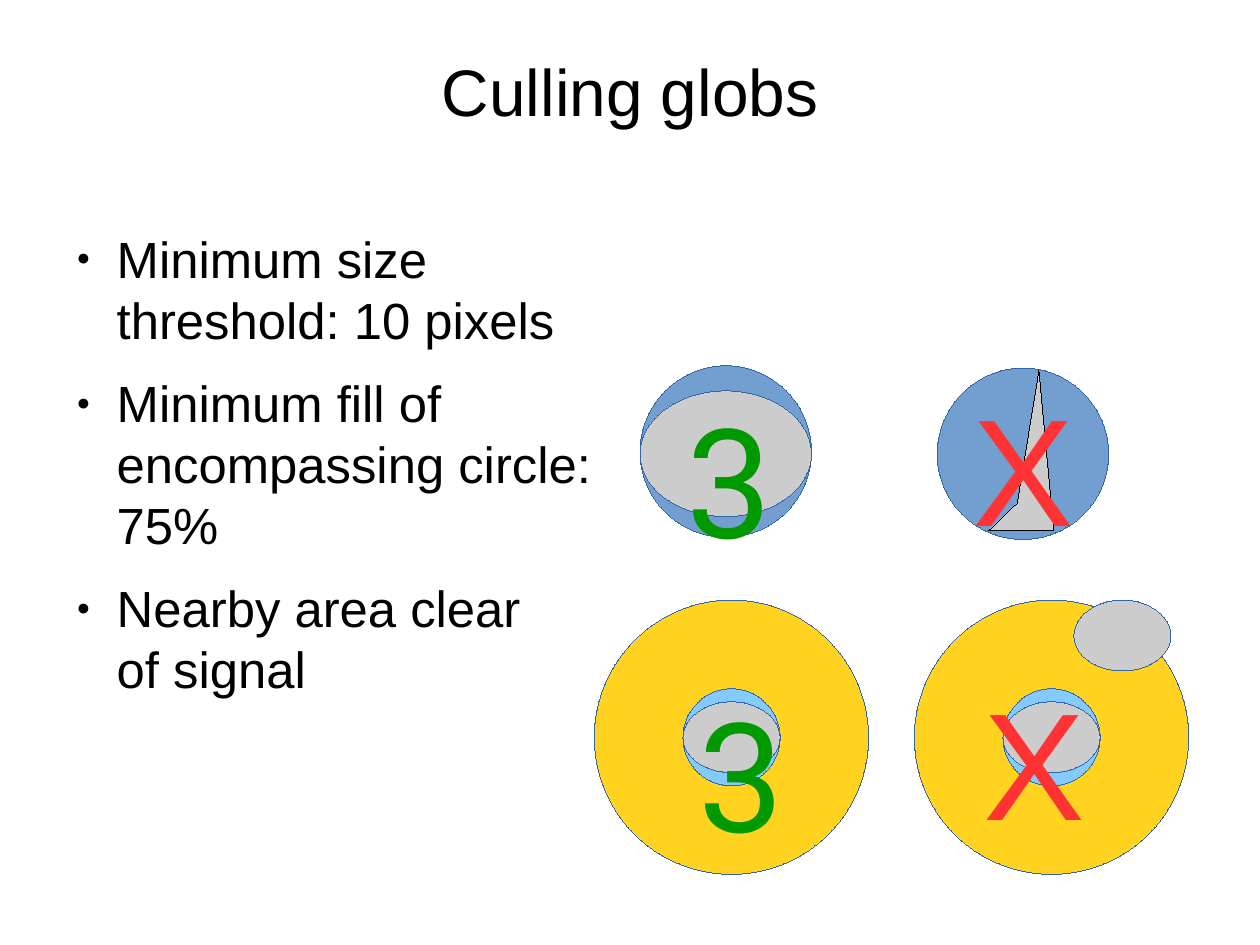
from lxml import etree
from pptx import Presentation
from pptx.dml.color import RGBColor
from pptx.enum.shapes import MSO_SHAPE
from pptx.enum.text import MSO_ANCHOR, MSO_AUTO_SIZE, PP_ALIGN
from pptx.oxml.ns import qn
from pptx.util import Cm, Inches, Pt

OVAL = MSO_SHAPE.OVAL
MIDDLE, TOP = MSO_ANCHOR.MIDDLE, MSO_ANCHOR.TOP
FIXED, GROW = MSO_AUTO_SIZE.NONE, MSO_AUTO_SIZE.SHAPE_TO_FIT_TEXT
LEFT, CENTER = PP_ALIGN.LEFT, PP_ALIGN.CENTER

BLACK = RGBColor(0x00, 0x00, 0x00)
STEEL = RGBColor(0x72, 0x9F, 0xCF)
SKY = RGBColor(0x83, 0xCA, 0xFF)
YELLOW = RGBColor(0xFF, 0xD3, 0x20)
GRAY = RGBColor(0xCC, 0xCC, 0xCC)
OUTLINE = RGBColor(0x34, 0x65, 0xA4)
GREEN = RGBColor(0x00, 0x99, 0x00)
RED = RGBColor(0xFF, 0x33, 0x33)

SLIDE_WIDTH, SLIDE_HEIGHT = Cm(28), Cm(21)
WIDTH = SLIDE_WIDTH.inches
MARGIN = WIDTH / 20
HAIRLINE = Pt(0.01)

TITLE = "Culling globs"
CRITERIA = [
    "Minimum size threshold: 10 pixels",
    "Minimum fill of encompassing circle: 75%",
    "Nearby area clear\vof signal",
]

CIRCLE = 1.5
NEIGHBORHOOD = 2.4
GLOB = (0.85, 0.62)
FILL_CENTERS = [(6.35, 3.95), (8.95, 3.97)]
FILLING_GLOB = ((6.35, 3.97), (CIRCLE, 1.1))
CLEAR_CENTERS = [(6.4, 6.45), (9.2, 6.45)]
INTRUDER_CENTER = (9.82, 5.56)
SLIVER = [(8.9, 4.4), (8.65, 4.64), (9.22, 4.64), (9.09, 3.24)]

VERDICTS = [
    ("X", "Arial", RED, False, (8.51, 5.8, 1.09, 1.59)),
    ("3", "Roboto", GREEN, True, (6.01, 5.9, 1.2, 1.38)),
    ("X", "Arial", RED, False, (8.41, 3.22, 1.09, 1.59)),
    ("3", "Roboto", GREEN, True, (5.91, 3.33, 1.2, 1.38)),
]


def paint(shape, fill, outline):
    shape.shadow.inherit = False
    shape.fill.solid()
    shape.fill.fore_color.rgb = fill
    shape.line.color.rgb = outline
    shape.line.width = HAIRLINE


def add_oval(slide, center, size, fill):
    (x, y), (w, h) = center, size
    box = (x - w / 2, y - h / 2, w, h)
    paint(slide.shapes.add_shape(OVAL, *map(Inches, box)), fill, OUTLINE)


def place(holder, box, anchor):
    holder.left, holder.top, holder.width, holder.height = map(Inches, box)
    frame = holder.text_frame
    frame.margin_left = frame.margin_right = frame.margin_top = frame.margin_bottom = 0
    frame.auto_size = FIXED
    frame.word_wrap = True
    frame.vertical_anchor = anchor
    return frame


def style(paragraph, size, font, color, align):
    paragraph.alignment = align
    paragraph.space_before = Pt(0)
    for run in paragraph.runs:
        run.font.size = Pt(size)
        run.font.name = font
        run.font.color.rgb = color


def add_bullet(paragraph):
    props = paragraph._p.get_or_add_pPr()
    props.set("marL", str(Inches(0.47)))
    props.set("indent", str(Inches(-0.35)))
    color = etree.SubElement(props, qn("a:buClr"))
    etree.SubElement(color, qn("a:srgbClr")).set("val", str(BLACK))
    etree.SubElement(props, qn("a:buSzPct")).set("val", "45000")
    etree.SubElement(props, qn("a:buChar")).set("char", "●")


def add_verdict(slide, mark, font, color, wrap, box):
    frame = slide.shapes.add_textbox(*map(Inches, box)).text_frame
    frame.text = mark
    frame.word_wrap = wrap
    frame.auto_size = GROW
    style(frame.paragraphs[0], 96, font, color, LEFT)


def main():
    deck = Presentation()
    deck.slide_width, deck.slide_height = SLIDE_WIDTH, SLIDE_HEIGHT
    slide = deck.slides.add_slide(deck.slide_layouts[1])

    title = place(slide.shapes.title, (MARGIN, 0.32, WIDTH * 0.9, 0.94), MIDDLE)
    title.text = TITLE
    style(title.paragraphs[0], 41.4, "Arial", BLACK, CENTER)

    criteria = place(slide.placeholders[1], (MARGIN, 1.99, 4.84, 4.79), TOP)
    criteria.text = "\n".join(CRITERIA)
    for paragraph in criteria.paragraphs:
        add_bullet(paragraph)
        style(paragraph, 32, "Arial", BLACK, LEFT)
        paragraph.space_after = Pt(14.1)

    for center in FILL_CENTERS:
        add_oval(slide, center, (CIRCLE, CIRCLE), STEEL)
    corners = [(Inches(x), Inches(y)) for x, y in SLIVER]
    builder = slide.shapes.build_freeform(*corners[0])
    builder.add_line_segments(corners[1:], close=True)
    paint(builder.convert_to_shape(), GRAY, BLACK)
    add_oval(slide, *FILLING_GLOB, GRAY)

    for center in CLEAR_CENTERS:
        add_oval(slide, center, (NEIGHBORHOOD, NEIGHBORHOOD), YELLOW)
        add_oval(slide, center, (GLOB[0], GLOB[0]), SKY)
        add_oval(slide, center, GLOB, GRAY)
    add_oval(slide, INTRUDER_CENTER, GLOB, GRAY)

    for verdict in VERDICTS:
        add_verdict(slide, *verdict)

    deck.save("out.pptx")


if __name__ == "__main__":
    main()
